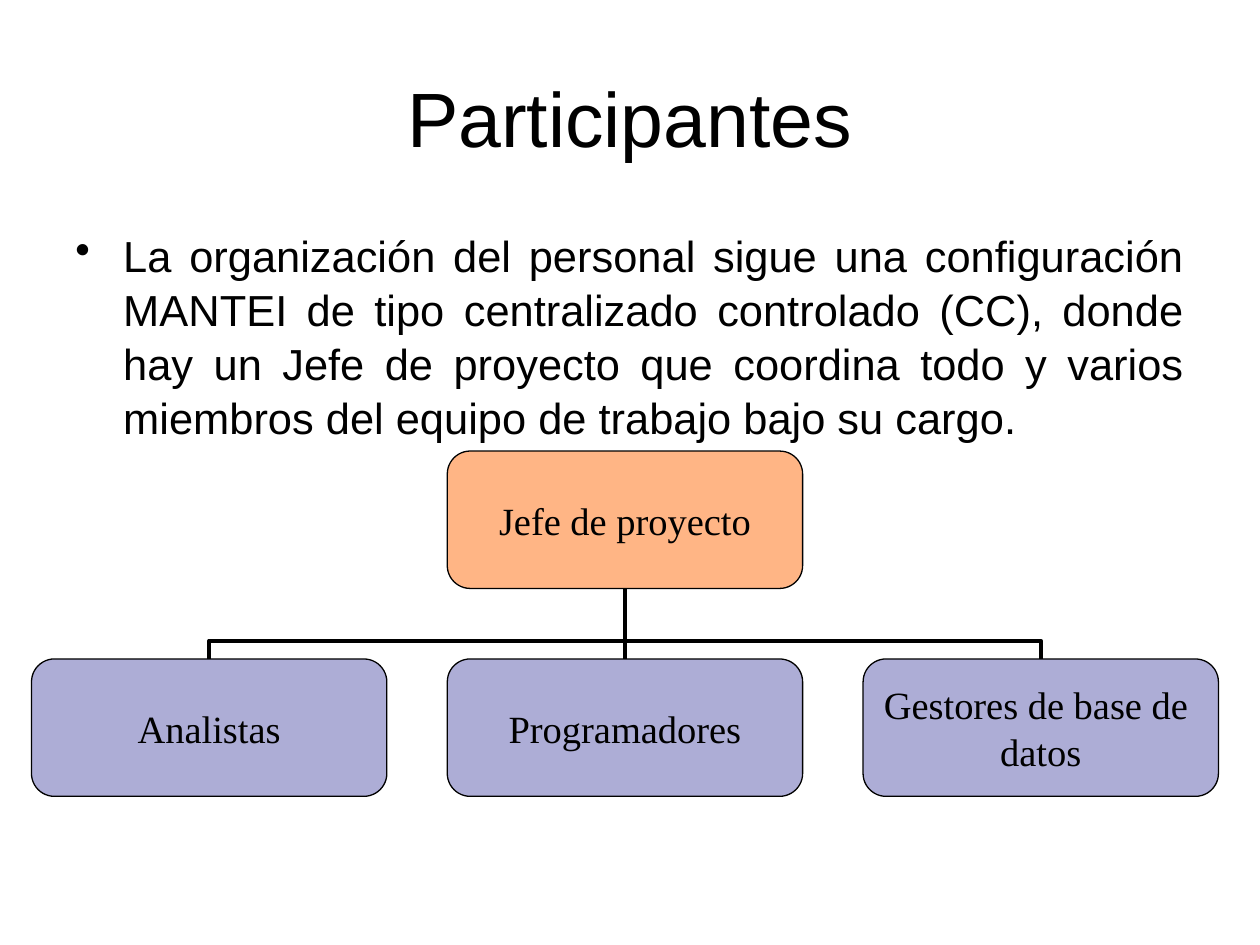
import dataclasses

import pptx
import pptx.dml.color
import pptx.enum.shapes
import pptx.enum.text
import pptx.oxml
import pptx.oxml.ns
import pptx.util

Inches = pptx.util.Inches
Pt = pptx.util.Pt
ALIGN = pptx.enum.text.PP_ALIGN
ANCHOR = pptx.enum.text.MSO_ANCHOR
CONNECTOR = pptx.enum.shapes.MSO_CONNECTOR


@dataclasses.dataclass(frozen=True)
class Theme:
    ink: str = "000000"
    chief: str = "FF6600"
    member: str = "333399"
    chief_opacity: int = 48
    member_opacity: int = 40
    text_font: str = "Arial"
    box_font: str = "Times New Roman"
    title_size: float = 44
    body_size: float = 24.8
    box_size: float = 22
    box_line: float = 0.75
    link_line: float = 2.25


def rgb(value):
    return pptx.dml.color.RGBColor.from_string(value)


def add_xml(parent, tag, **attributes):
    child = pptx.oxml.parse_xml(f"<{tag} {pptx.oxml.ns.nsdecls('a')}/>")
    for name, value in attributes.items():
        child.set(name, str(value))
    parent.append(child)
    return child


class OrganizationSlide:
    """Draws a title, a bulleted text and an organization chart in one theme."""

    def __init__(self, page, theme):
        self.page = page
        self.theme = theme

    def format(self, para, font, size, align):
        para.alignment = align
        para.font.name = font
        para.font.size = Pt(size)
        para.font.color.rgb = rgb(self.theme.ink)

    def place(self, shape, left, top, width, height):
        shape.left, shape.top = Inches(left), Inches(top)
        shape.width, shape.height = Inches(width), Inches(height)

    def title(self, text, area):
        title = self.page.shapes.title
        self.place(title, *area)
        title.text_frame.text = text
        title.text_frame.vertical_anchor = ANCHOR.MIDDLE
        self.format(title.text_frame.paragraphs[0], self.theme.text_font,
                    self.theme.title_size, ALIGN.CENTER)

    def bullet(self, text, area):
        box = self.page.shapes.add_textbox(*map(Inches, area))
        box.text_frame.word_wrap = True
        para = box.text_frame.paragraphs[0]
        para.text = text
        para.space_before = Pt(8)
        para.line_spacing = 1.04
        self.format(para, self.theme.text_font, self.theme.body_size, ALIGN.JUSTIFY)
        properties = para._p.get_or_add_pPr()
        properties.set("marL", str(Inches(0.38)))
        properties.set("indent", str(-Inches(0.38)))
        bullet = pptx.oxml.parse_xml(
            f'<a:buChar {pptx.oxml.ns.nsdecls("a")} char="•"/>')
        properties.find(pptx.oxml.ns.qn("a:defRPr")).addprevious(bullet)

    def box(self, text, area, color, opacity):
        box = self.page.shapes.add_shape(
            pptx.enum.shapes.MSO_SHAPE.ROUNDED_RECTANGLE, *map(Inches, area))
        box.shadow.inherit = False
        box.fill.solid()
        box.fill.fore_color.rgb = rgb(color)
        shade = box.fill._xPr.find(pptx.oxml.ns.qn("a:solidFill"))[0]
        add_xml(shade, "a:alpha", val=opacity * 1000)
        box.line.color.rgb = rgb(self.theme.ink)
        box.line.width = Pt(self.theme.box_line)
        frame = box.text_frame
        frame.margin_left = frame.margin_right = 0
        frame.margin_top = frame.margin_bottom = 0
        frame.word_wrap = False
        frame.vertical_anchor = ANCHOR.MIDDLE
        frame.text = text
        for para in frame.paragraphs:
            self.format(para, self.theme.box_font, self.theme.box_size, ALIGN.CENTER)
        return box

    def link(self, member, chief):
        start_x = member.left + member.width // 2
        end_x = chief.left + chief.width // 2
        end_y = chief.top + chief.height
        straight = start_x == end_x
        kind = CONNECTOR.STRAIGHT if straight else CONNECTOR.ELBOW
        link = self.page.shapes.add_connector(kind, start_x, member.top, end_x, end_y)
        link.begin_connect(member, 0)
        link.end_connect(chief, 2)
        link.line.color.rgb = rgb(self.theme.ink)
        link.line.width = Pt(self.theme.link_line)
        add_xml(link._element.spPr, "a:effectLst")
        if not straight:
            self.turn_upright(link, start_x, member.top, end_x, end_y)

    def turn_upright(self, link, start_x, start_y, end_x, end_y):
        rise, run = start_y - end_y, abs(end_x - start_x)
        link.left = (start_x + end_x - rise) // 2
        link.top = (start_y + end_y - run) // 2
        link.width, link.height = rise, run
        from_left = start_x < end_x
        frame = link._element.spPr.find(pptx.oxml.ns.qn("a:xfrm"))
        frame.set("rot", str((90 if from_left else 270) * 60000))
        frame.set("flipH", "1" if from_left else "0")
        frame.set("flipV", "1")
        guides = link._element.spPr.find(".//" + pptx.oxml.ns.qn("a:avLst"))
        add_xml(guides, "a:gd", name="adj1", fmla="val 25900")


def main():
    deck = pptx.Presentation()
    deck.slide_width, deck.slide_height = Inches(10), Inches(7.5)
    theme = Theme()
    slide = OrganizationSlide(deck.slides.add_slide(deck.slide_layouts[5]), theme)
    slide.title("Participantes", (0.5, 0.3, 9, 1.25))
    slide.bullet(
        "La organización del personal sigue una configuración MANTEI de tipo "
        "centralizado controlado (CC), donde hay un Jefe de proyecto que coordina "
        "todo y varios miembros del equipo de trabajo bajo su cargo.",
        (0.5, 1.75, 9, 1.84))

    width, height, first, step = 2.82, 1.09, 0.25, 3.3
    chief = slide.box("Jefe de proyecto", (first + step, 3.58, width, height),
                      theme.chief, theme.chief_opacity)
    members = ("Analistas", "Programadores", "Gestores de base de \ndatos")
    for column, name in enumerate(members):
        member = slide.box(name, (first + column * step, 5.23, width, height),
                           theme.member, theme.member_opacity)
        slide.link(member, chief)
    deck.save("out.pptx")


if __name__ == "__main__":
    main()
